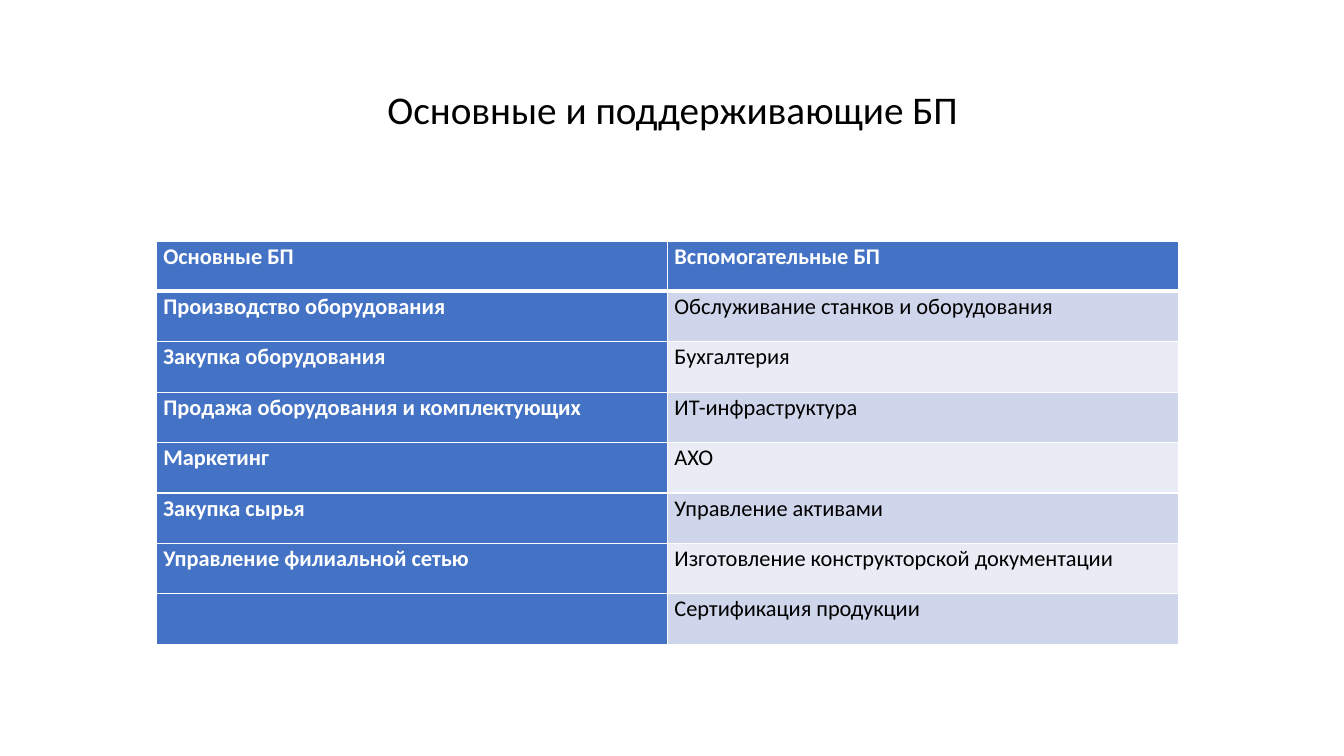
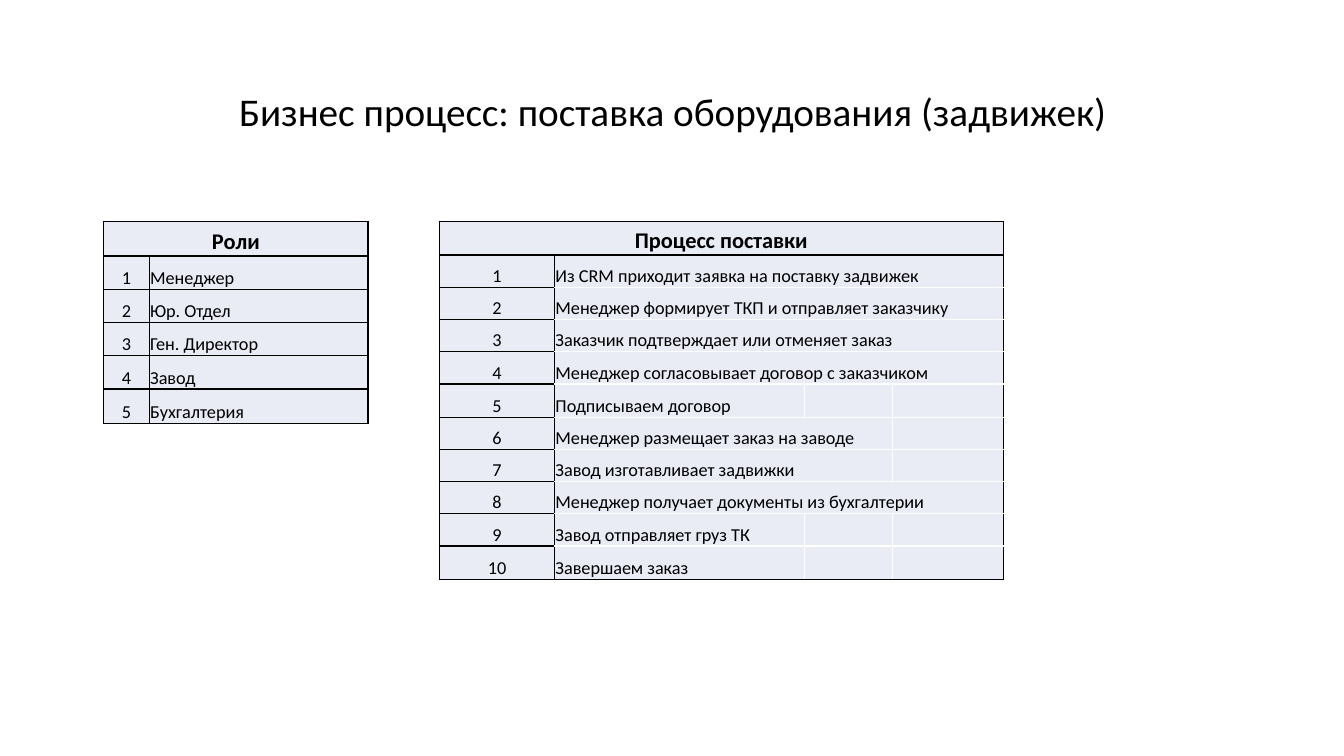
from dataclasses import dataclass

from lxml import etree
from pptx import Presentation, util as u
from pptx.dml.color import RGBColor
from pptx.enum import text
from pptx.oxml import ns


@dataclass(frozen=True)
class Theme:
    font: str = "Calibri"
    black: str = "000000"
    white: str = "FFFFFF"
    accent: str = "4472C4"
    band_dark: str = "CFD5EA"
    band_light: str = "E9EBF5"
    title_size: int = 28
    header_size: int = 16
    body_size: int = 13


THEME = Theme()
EMU_PER_PX = 9144
CENTER, LEFT = text.PP_ALIGN.CENTER, text.PP_ALIGN.LEFT
SIDES = {"left": "a:lnL", "right": "a:lnR", "top": "a:lnT", "bottom": "a:lnB"}

SUMMARY_CELL = {"margin_left": 7, "margin_right": 7, "margin_top": 0, "margin_bottom": 0,
                "vertical_anchor": text.MSO_ANCHOR.TOP}
LIST_CELL = {"margin_left": 1, "margin_right": 1, "margin_top": 1, "margin_bottom": 0,
             "vertical_anchor": text.MSO_ANCHOR.BOTTOM}
SUMMARY_PARAGRAPH = {"alignment": LEFT, "line_spacing": 1.07, "space_after": u.Pt(8)}

PROCESSES = [
    ("Основные БП", "Вспомогательные БП"),
    ("Производство оборудования", "Обслуживание станков и оборудования"),
    ("Закупка оборудования", "Бухгалтерия"),
    ("Продажа оборудования и комплектующих", "ИТ-инфраструктура"),
    ("Маркетинг", "АХО"),
    ("Закупка сырья", "Управление активами"),
    ("Управление филиальной сетью", "Изготовление конструкторской документации"),
    ("", "Сертификация продукции"),
]
ROLES = [(role, 1) for role in
         ("Менеджер", "Юр. Отдел", "Ген. Директор", "Завод", "Бухгалтерия")]
DELIVERY_STEPS = [
    ("Из CRM приходит заявка на поставку задвижек", 3),
    ("Менеджер формирует ТКП и отправляет заказчику", 3),
    ("Заказчик подтверждает или отменяет заказ", 3),
    ("Менеджер согласовывает договор с заказчиком", 3),
    ("Подписываем договор", 1),
    ("Менеджер размещает заказ на заводе", 2),
    ("Завод изготавливает задвижки", 2),
    ("Менеджер получает документы из бухгалтерии", 3),
    ("Завод отправляет груз ТК", 1),
    ("Завершаем заказ", 1),
]


def px(value):
    return u.Emu(value * EMU_PER_PX)


def apply(target, values):
    for name, value in values.items():
        setattr(target, name, value)


def write(paragraph, content, size, color, bold=False, **paragraph_format):
    apply(paragraph, paragraph_format)
    if content:
        run = paragraph.add_run()
        run.text = content
        apply(run.font, {"name": THEME.font, "size": u.Pt(size), "bold": bold})
        run.font.color.rgb = RGBColor.from_string(color)


def add_titled_slide(presentation, title, top):
    slide = presentation.slides.add_slide(presentation.slide_layouts[5])
    shape = slide.shapes.title
    apply(shape, {"left": px(92), "top": px(top), "width": px(1150), "height": px(145)})
    apply(shape.text_frame, {"word_wrap": True, "auto_size": text.MSO_AUTO_SIZE.NONE,
                             "vertical_anchor": text.MSO_ANCHOR.MIDDLE})
    write(shape.text_frame.paragraphs[0], title, THEME.title_size, THEME.black,
          alignment=CENTER, line_spacing=0.9)
    return slide


def add_grid(slide, left, top, widths, heights):
    table = slide.shapes.add_table(len(heights), len(widths), px(left), px(top),
                                   px(sum(widths)), px(sum(heights))).table
    apply(table, {"first_row": False, "horz_banding": False})
    for column, width in zip(table.columns, widths):
        column.width = px(width)
    for row, height in zip(table.rows, heights):
        row.height = px(height)
    return table


def format_cell(cell, fill, cell_format, borders):
    apply(cell, {name: px(value) if name.startswith("margin") else value
                 for name, value in cell_format.items()})
    cell.fill.solid()
    cell.fill.fore_color.rgb = RGBColor.from_string(fill)
    properties = cell._tc.get_or_add_tcPr()
    for index, (side, tag) in enumerate(SIDES.items()):
        color, width = borders[side]
        line = etree.Element(ns.qn(tag), w=str(u.Pt(width)))
        solid = etree.SubElement(line, ns.qn("a:solidFill"))
        etree.SubElement(solid, ns.qn("a:srgbClr"), val=color)
        properties.insert(index, line)


def add_summary_table(slide, left, top, rows):
    table = add_grid(slide, left, top, [507, 507], [50] * len(rows))
    for row, labels in enumerate(rows):
        borders = dict.fromkeys(SIDES, (THEME.white, 1))
        if row == 0:
            borders["bottom"] = (THEME.white, 3)
        elif row == 1:
            borders["top"] = (THEME.white, 3)
        for column, label in enumerate(labels):
            cell = table.cell(row, column)
            emphasized = row == 0 or column == 0
            band = THEME.band_dark if row % 2 else THEME.band_light
            format_cell(cell, THEME.accent if emphasized else band, SUMMARY_CELL, borders)
            write(cell.text_frame.paragraphs[0], label, THEME.header_size,
                  THEME.white if emphasized else THEME.black, emphasized, **SUMMARY_PARAGRAPH)


def add_numbered_table(slide, left, top, widths, heights, heading, entries, inner_color):
    table = add_grid(slide, left, top, widths, heights)
    last_row, last_column = len(entries), len(widths) - 1

    def fill_span(row, first, last, content, size=THEME.body_size, bold=False, alignment=LEFT):
        outer = {"left": first <= 1, "right": last == last_column,
                 "top": row <= 1, "bottom": row in (0, last_row)}
        borders = {side: (THEME.black if first == 0 or edge else inner_color, 1)
                   for side, edge in outer.items()}
        if last > first:
            table.cell(row, first).merge(table.cell(row, last))
        for column in range(first, last + 1):
            format_cell(table.cell(row, column), THEME.band_light, LIST_CELL, borders)
        write(table.cell(row, first).text_frame.paragraphs[0], content, size, THEME.black,
              bold, alignment=alignment)

    fill_span(0, 0, last_column, heading, THEME.header_size, True, CENTER)
    for row, (label, span) in enumerate(entries, 1):
        fill_span(row, 0, 0, str(row), alignment=CENTER)
        fill_span(row, 1, span, label)
        for column in range(span + 1, last_column + 1):
            fill_span(row, column, column, "")


def main():
    presentation = Presentation()
    apply(presentation, {"slide_width": px(1333), "slide_height": px(750)})

    slide = add_titled_slide(presentation, "Основные и поддерживающие БП", 38)
    add_summary_table(slide, 155, 239, PROCESSES)

    slide = add_titled_slide(presentation, "Бизнес процесс: поставка оборудования (задвижек)", 40)
    add_numbered_table(slide, 103, 220, [45, 217], [34, 33, 33, 33, 33, 34],
                       "Роли", ROLES, THEME.black)
    add_numbered_table(slide, 436, 220, [114, 248, 87, 110],
                       [33, 32, 32, 32, 32, 33, 32, 32, 32, 32, 33],
                       "Процесс поставки", DELIVERY_STEPS, THEME.white)

    presentation.save("out.pptx")


if __name__ == "__main__":
    main()
